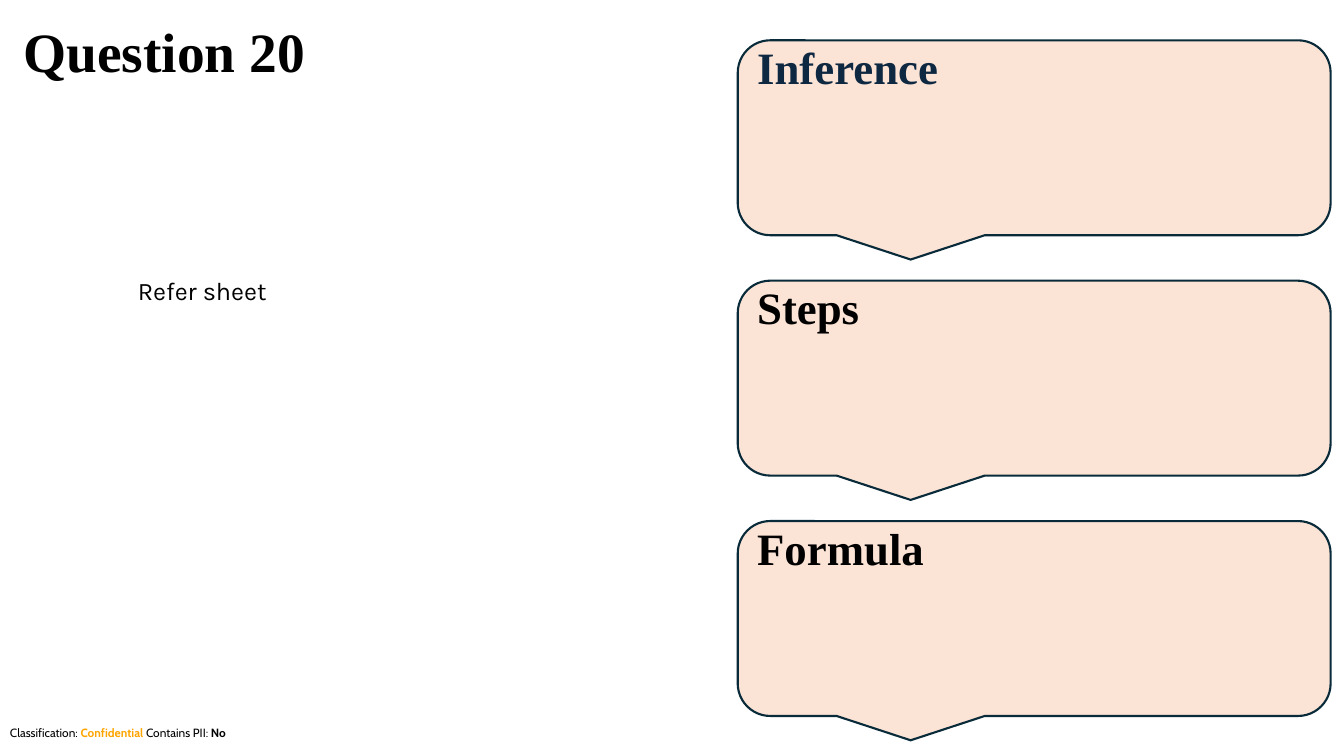
from pptx import Presentation
from pptx.dml.color import RGBColor
from pptx.enum.shapes import MSO_SHAPE
from pptx.enum.text import MSO_ANCHOR, PP_ALIGN
from pptx.util import Pt

BLACK = RGBColor(0x00, 0x00, 0x00)
NAVY = RGBColor(0x0E, 0x28, 0x41)
OUTLINE = RGBColor(0x09, 0x2A, 0x39)
PEACH = RGBColor(0xFB, 0xE3, 0xD6)
ORANGE = RGBColor(0xFF, 0xA5, 0x00)
SERIF = "Times New Roman"

QUESTION = "Question 20"
ANSWER = "Refer sheet"
SECTIONS = [("Inference", NAVY), ("Steps", BLACK), ("Formula", BLACK)]
CLASSIFICATION = [
    ("Classification: ", BLACK, False),
    ("Confidential", ORANGE, True),
    (" Contains PII: ", BLACK, False),
    ("No", BLACK, True),
]

SECTION_LEFT, SECTION_TOP = 527, 28.8
SECTION_WIDTH, SECTION_HEIGHT = 423.5, 139.2
SECTION_PITCH = 171.7
HEADING_INSET = 101.8


def write(paragraph, text, *, font, size, color=BLACK, bold=False):
    paragraph.alignment = PP_ALIGN.LEFT
    run = paragraph.add_run()
    run.text = text
    run.font.name = font
    run.font.size = Pt(size)
    run.font.bold = bold
    run.font.color.rgb = color


def place(left, top, width, height):
    return Pt(left), Pt(top), Pt(width), Pt(height)


def main():
    deck = Presentation()
    deck.slide_width, deck.slide_height = Pt(960), Pt(540)
    slide = deck.slides.add_slide(deck.slide_layouts[5])

    title = slide.shapes.title
    title.left, title.top, title.width, title.height = place(9.4, 15.8, 219, 46.8)
    title.text_frame.vertical_anchor = MSO_ANCHOR.MIDDLE
    heading = title.text_frame.paragraphs[0]
    heading.line_spacing = 0.9
    write(heading, QUESTION, font=SERIF, size=39.6, bold=True)

    for index, (name, color) in enumerate(SECTIONS):
        section = slide.shapes.add_shape(
            MSO_SHAPE.ROUNDED_RECTANGULAR_CALLOUT,
            *place(SECTION_LEFT, SECTION_TOP + index * SECTION_PITCH,
                   SECTION_WIDTH, SECTION_HEIGHT))
        section.shadow.inherit = False
        section.fill.solid()
        section.fill.fore_color.rgb = PEACH
        section.line.color.rgb = OUTLINE
        section.line.width = Pt(1.5)
        frame = section.text_frame
        frame.vertical_anchor = MSO_ANCHOR.MIDDLE
        frame.margin_top, frame.margin_bottom = Pt(0), Pt(HEADING_INSET)
        write(frame.paragraphs[0], name, font=SERIF, size=32, color=color, bold=True)

    answer = slide.shapes.add_textbox(*place(91.4, 193, 233.3, 28.8)).text_frame
    answer.word_wrap = True
    write(answer.paragraphs[0], ANSWER, font="Karla", size=18)

    footer = slide.shapes.add_textbox(*place(0, 514.8, 960, 17.3)).text_frame
    footer.word_wrap = True
    for text, color, bold in CLASSIFICATION:
        write(footer.paragraphs[0], text, font="Cabin", size=8.5, color=color, bold=bold)

    deck.save("out.pptx")


if __name__ == "__main__":
    main()
